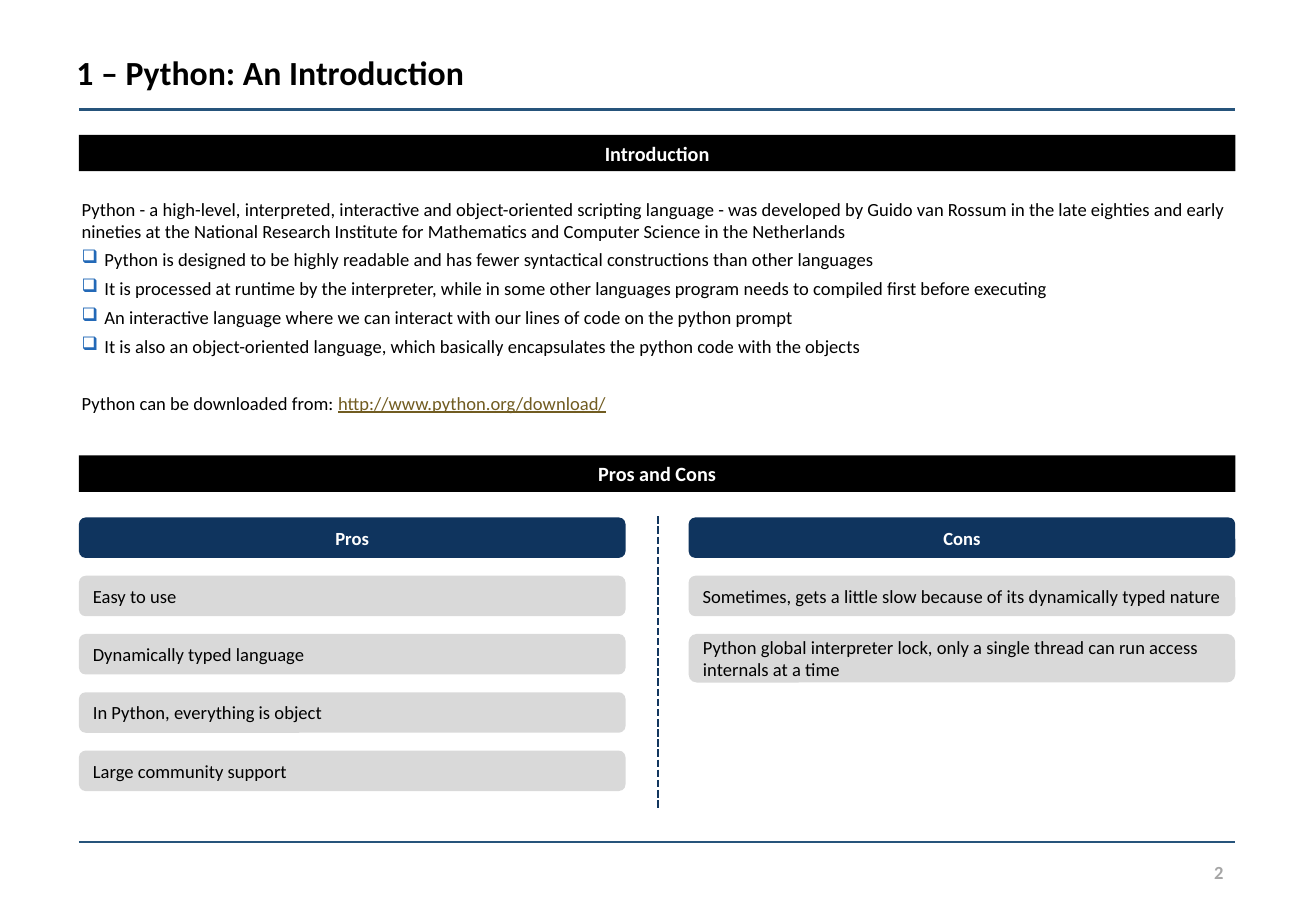
import pptx
import pptx.dml.color
import pptx.enum.dml
import pptx.enum.shapes
import pptx.enum.text
import pptx.oxml.ns
import pptx.util
from lxml import etree

Pt = pptx.util.Pt
qn = pptx.oxml.ns.qn
ALIGN = pptx.enum.text.PP_ALIGN
ANCHOR = pptx.enum.text.MSO_ANCHOR
SHAPE = pptx.enum.shapes.MSO_SHAPE

FONT = "Calibri"
BLACK, WHITE, NAVY, GREY = "000000", "FFFFFF", "0F345E", "D9D9D9"
LEFT, RIGHT = 46.8, 732.2
CARD_WIDTH, CARD_HEIGHT, CARD_PITCH, CARDS_TOP = 324, 24, 34.55, 306.7

INTRODUCTION = (
    "Python - a high-level, interpreted, interactive and object-oriented scripting "
    "language - was developed by Guido van Rossum in the late eighties and early "
    "nineties at the National Research Institute for Mathematics and Computer "
    "Science in the Netherlands"
)
FEATURES = [
    "Python is designed to be highly readable and has fewer syntactical constructions than other languages",
    "It is processed at runtime by the interpreter, while in some other languages "
    "program needs to compiled first before executing",
    "An interactive language where we can interact with our lines of code on the python prompt",
    "It is also an object-oriented language, which basically encapsulates the python code with the objects",
]
PROS = [
    "Easy to use",
    "Dynamically typed language",
    "In Python, everything is object",
    "Large community support",
]
CONS = [
    "Sometimes, gets a little slow because of its dynamically typed nature",
    "Python global interpreter lock, only a single thread can run access internals at a time",
]


def color(value):
    return pptx.dml.color.RGBColor.from_string(value)


def format_runs(paragraph, size, text_color, bold=False):
    for run in paragraph.runs:
        run.font.name = FONT
        run.font.size = Pt(size)
        run.font.bold = bold
        run.font.color.rgb = color(text_color)


def add_line(slide, x1, y1, x2, y2, line_color, dash=None):
    connector = slide.shapes.add_connector(
        pptx.enum.shapes.MSO_CONNECTOR.STRAIGHT, Pt(x1), Pt(y1), Pt(x2), Pt(y2))
    connector.line.color.rgb = color(line_color)
    connector.line.width = Pt(1.5)
    if dash is not None:
        connector.line.dash_style = dash
    etree.SubElement(connector._element.spPr, qn("a:effectLst"))


def add_label(slide, text, left, top, width, height, size, text_color,
              align=ALIGN.LEFT, anchor=ANCHOR.TOP):
    box = slide.shapes.add_textbox(Pt(left), Pt(top), Pt(width), Pt(height))
    frame = box.text_frame
    frame.word_wrap = True
    frame.vertical_anchor = anchor
    frame.text = text
    frame.paragraphs[0].alignment = align
    format_runs(frame.paragraphs[0], size, text_color, bold=True)


def add_block(slide, kind, text, left, top, width, height, fill, text_color,
              size=11, heading=False):
    shape = slide.shapes.add_shape(kind, Pt(left), Pt(top), Pt(width), Pt(height))
    shape.shadow.inherit = False
    shape.fill.solid()
    shape.fill.fore_color.rgb = color(fill)
    shape.line.fill.background()
    frame = shape.text_frame
    frame.word_wrap = True
    frame.vertical_anchor = ANCHOR.MIDDLE
    frame.text = text
    frame.paragraphs[0].alignment = ALIGN.CENTER if heading else ALIGN.LEFT
    format_runs(frame.paragraphs[0], size, text_color, bold=heading)


def add_section_bar(slide, text, top):
    add_block(slide, SHAPE.RECTANGLE, text, LEFT, top, RIGHT - LEFT, 21.6,
              BLACK, WHITE, size=12, heading=True)


def add_card_column(slide, heading, entries, left, last_height=CARD_HEIGHT):
    add_block(slide, SHAPE.ROUNDED_RECTANGLE, heading, left, CARDS_TOP,
              CARD_WIDTH, CARD_HEIGHT, NAVY, WHITE, heading=True)
    for row, entry in enumerate(entries, start=1):
        height = last_height if row == len(entries) else CARD_HEIGHT
        add_block(slide, SHAPE.ROUNDED_RECTANGLE, entry, left,
                  CARDS_TOP + row * CARD_PITCH, CARD_WIDTH, height, GREY, BLACK)


def set_bullet(paragraph):
    properties = paragraph._p.get_or_add_pPr()
    properties.set("marL", str(Pt(13.5)))
    properties.set("indent", str(Pt(-13.5)))
    bullet_color = etree.SubElement(properties, qn("a:buClr"))
    etree.SubElement(bullet_color, qn("a:srgbClr"), val="2369B7")
    etree.SubElement(properties, qn("a:buChar"), char="❑")


def add_body_paragraph(paragraph, texts, space_before=2, bullet=False):
    if bullet:
        set_bullet(paragraph)
    paragraph.line_spacing = Pt(13)
    paragraph.space_before = Pt(space_before)
    paragraph.space_after = Pt(2)
    for text in texts:
        paragraph.add_run().text = text
    format_runs(paragraph, 11, BLACK)


def add_introduction(slide):
    box = slide.shapes.add_textbox(Pt(48.4), Pt(113.8), Pt(684), Pt(136.8))
    frame = box.text_frame
    frame.word_wrap = True
    frame.margin_left = frame.margin_right = 0
    add_body_paragraph(frame.paragraphs[0], [INTRODUCTION], space_before=0)
    for feature in FEATURES:
        add_body_paragraph(frame.add_paragraph(), [feature], bullet=True)
    download = frame.add_paragraph()
    add_body_paragraph(
        download,
        ["Python can be downloaded from: ", "http://www.python.org/download/"],
        space_before=19)
    address = download.runs[1]
    address.font.underline = True
    address.font.color.rgb = color("715C21")


def main():
    presentation = pptx.Presentation()
    presentation.slide_width = Pt(780)
    presentation.slide_height = Pt(540)
    slide = presentation.slides.add_slide(presentation.slide_layouts[6])

    # Title, rules and page number
    for y in (64.8, 499):
        add_line(slide, LEFT, y, RIGHT, y, "26547B")
    add_label(slide, "1 – Python: An Introduction", 38.2, 27.4, 705.6, 32.4, 20, BLACK)
    add_label(slide, "2", 599.8, 499, 132.4, 35.3, 11, "A6A6A6",
              ALIGN.RIGHT, ANCHOR.MIDDLE)

    # Introduction
    add_section_bar(slide, "Introduction", 79.9)
    add_introduction(slide)

    # Pros and cons
    add_section_bar(slide, "Pros and Cons", 270)
    add_card_column(slide, "Pros", PROS, LEFT)
    add_card_column(slide, "Cons", CONS, RIGHT - CARD_WIDTH, last_height=28.8)
    add_line(slide, 390, 306, 390, 478.8, "12365E",
             pptx.enum.dml.MSO_LINE.SQUARE_DOT)

    presentation.save("out.pptx")


if __name__ == "__main__":
    main()
